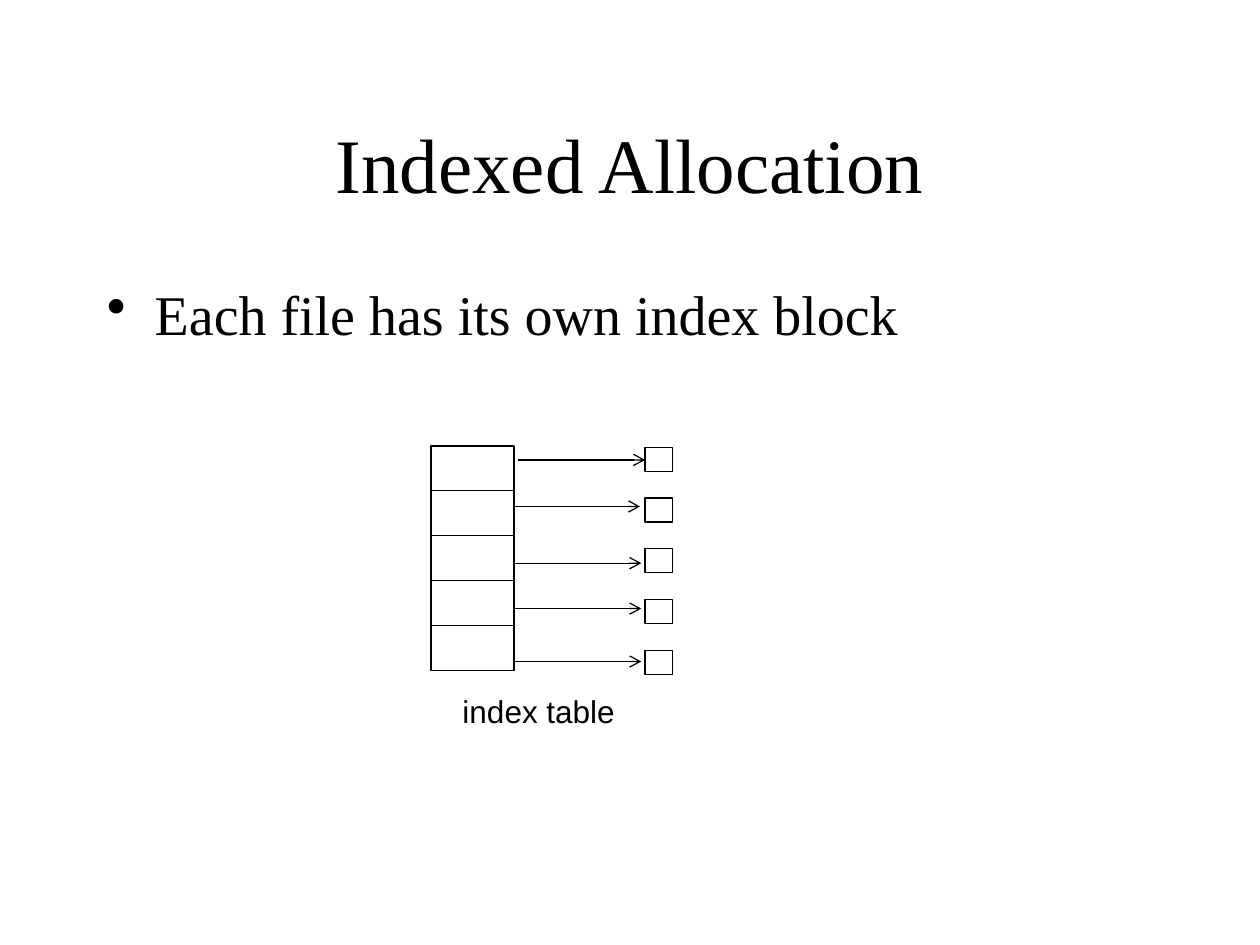
import pptx
import pptx.util
import pptx.dml.color
import pptx.enum.shapes
import pptx.enum.text
import pptx.oxml.ns
import lxml.etree

Inches = pptx.util.Inches
Pt = pptx.util.Pt
ALIGN = pptx.enum.text.PP_ALIGN
ANCHOR = pptx.enum.text.MSO_ANCHOR
qn = pptx.oxml.ns.qn


def rgb(color):
    return pptx.dml.color.RGBColor.from_string(color)


def write(sp, text, font="Times New Roman", size=18, color="000000",
          align=ALIGN.CENTER, anchor=ANCHOR.MIDDLE, wrap=True, bullet=None):
    tf = sp.text_frame
    tf.word_wrap = wrap
    tf.vertical_anchor = anchor
    p = tf.paragraphs[0]
    p.alignment = align
    p.space_before = Pt(0)
    if bullet:
        pPr = p._p.get_or_add_pPr()
        pPr.set("marL", str(Inches(0.38)))
        pPr.set("indent", str(Inches(-0.38)))
        lxml.etree.SubElement(pPr, qn("a:buChar")).set("char", bullet)
    r = p.add_run()
    r.text = text
    r.font.name = font
    r.font.size = Pt(size)
    r.font.color.rgb = rgb(color)


prs = pptx.Presentation()
prs.slide_width = Inches(10)
prs.slide_height = Inches(7.5)
s = prs.slides.add_slide(prs.slide_layouts[5])

title = s.shapes.title
title.left, title.top = Inches(0.75), Inches(0.67)
title.width, title.height = Inches(8.5), Inches(1.25)
write(title, "Indexed Allocation", size=44)

body = s.shapes.add_textbox(Inches(0.75), Inches(2.17), Inches(8.5), Inches(4.5))
write(body, "Each file has its own index block", size=32,
      align=ALIGN.LEFT, anchor=ANCHOR.TOP, bullet="•")

columns = [
    (3.42, 3.54, 0.66, 0.36, 0.356),
    (5.12, 3.55, 0.22, 0.19, 0.403),
]
for left, top, width, height, pitch in columns:
    for row in range(5):
        sp = s.shapes.add_shape(
            pptx.enum.shapes.MSO_SHAPE.RECTANGLE,
            Inches(left), Inches(top + row * pitch), Inches(width), Inches(height))
        sp.shadow.inherit = False
        sp.fill.solid()
        sp.fill.fore_color.rgb = rgb("FFFFFF")
        sp.line.color.rgb = rgb("000000")
        sp.line.width = Pt(0.75)

arrow_length = 1.01
for x, y in [(4.11, 3.65), (4.07, 4.02), (4.08, 4.47), (4.08, 4.83), (4.08, 5.25)]:
    arrow = s.shapes.add_connector(
        pptx.enum.shapes.MSO_CONNECTOR.STRAIGHT,
        Inches(x), Inches(y), Inches(x + arrow_length), Inches(y))
    arrow.line.color.rgb = rgb("000000")
    arrow.line.width = Pt(0.75)
    ln = arrow.line._get_or_add_ln()
    lxml.etree.SubElement(ln, qn("a:tailEnd")).set("type", "arrow")
    lxml.etree.SubElement(arrow._element.spPr, qn("a:effectLst"))

caption = s.shapes.add_textbox(Inches(3.57), Inches(5.44), Inches(1.41), Inches(0.4))
write(caption, "index table", font="Arial", wrap=False)

prs.save("out.pptx")
